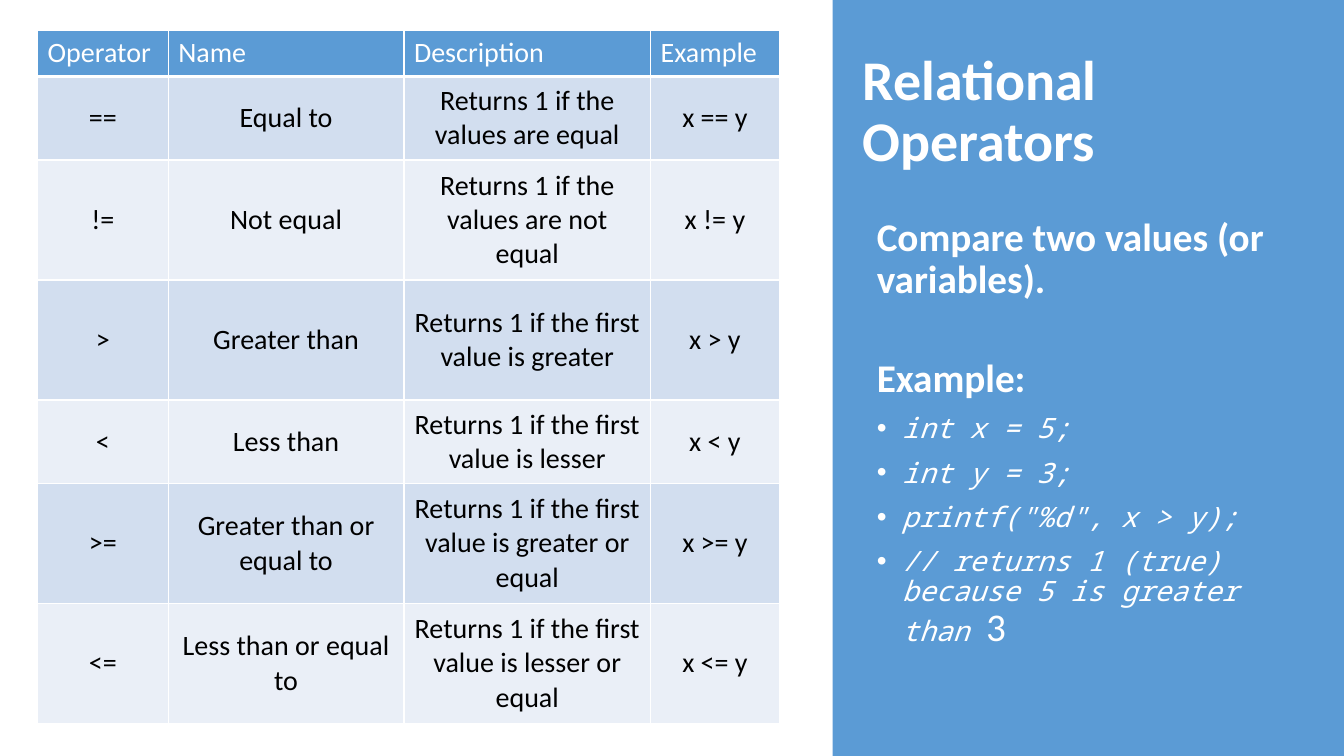
from lxml import etree
from pptx import Presentation
from pptx.dml.color import RGBColor
from pptx.enum import shapes, text
from pptx.oxml import ns
from pptx.util import Pt

BLUE = RGBColor(0x5B, 0x9B, 0xD5)
BAND_DARK = RGBColor(0xD2, 0xDE, 0xEF)
BAND_LIGHT = RGBColor(0xEA, 0xEF, 0xF7)
WHITE = RGBColor(0xFF, 0xFF, 0xFF)
BLACK = RGBColor(0x00, 0x00, 0x00)
SANS = "Calibri"
MONO = "Noto Sans Mono"

HEADINGS = ("Operator", "Name", "Description", "Example")
OPERATORS = (
    ("==", "Equal to", "Returns 1 if the values are equal"),
    ("!=", "Not equal", "Returns 1 if the values are not equal"),
    (">", "Greater than", "Returns 1 if the first value is greater"),
    ("<", "Less than", "Returns 1 if the first value is lesser"),
    (">=", "Greater than or equal to", "Returns 1 if the first value is greater or equal"),
    ("<=", "Less than or equal to", "Returns 1 if the first value is lesser or equal"),
)
COLUMN_WIDTHS = (93.4, 168.4, 176.2, 92)
ROW_HEIGHTS = (33.1, 59.6, 85.7, 85.7, 59.6, 85.7, 85.7)
CODE = ("int x = 5;", "int y = 3;", 'printf("%d", x > y);')
CODE_COMMENT = "// returns 1 (true) because 5 is greater than "


def style(run, size, color, font=SANS, bold=False, italic=False):
    run.font.size = Pt(size)
    run.font.name = font
    run.font.bold = bold
    run.font.italic = italic
    run.font.color.rgb = color


def add_border(cell, side, width):
    properties = cell._tc.get_or_add_tcPr()
    line = etree.SubElement(properties, ns.qn(f"a:ln{side}"), w=str(Pt(width)))
    fill = etree.SubElement(line, ns.qn("a:solidFill"))
    etree.SubElement(fill, ns.qn("a:srgbClr"), val=str(WHITE))


def fill_cell(cell, words, row):
    header = row == 0
    thick_sides = {0: "B", 1: "T"}
    for side in "LRTB":
        add_border(cell, side, 3 if thick_sides.get(row) == side else 1)
    cell.fill.solid()
    cell.fill.fore_color.rgb = BLUE if header else (BAND_DARK if row % 2 else BAND_LIGHT)
    cell.vertical_anchor = text.MSO_ANCHOR.MIDDLE
    cell.text_frame.text = words
    paragraph = cell.text_frame.paragraphs[0]
    paragraph.alignment = text.PP_ALIGN.LEFT if header else text.PP_ALIGN.CENTER
    style(paragraph.runs[0], 20, WHITE if header else BLACK)


def add_operator_table(slide):
    rows = [HEADINGS] + [(*entry, f"x {entry[0]} y") for entry in OPERATORS]
    table = slide.shapes.add_table(
        len(rows), len(HEADINGS), Pt(26.8), Pt(21.6),
        Pt(sum(COLUMN_WIDTHS)), Pt(sum(ROW_HEIGHTS))).table
    table.horz_banding = False
    for column, width in zip(table.columns, COLUMN_WIDTHS):
        column.width = Pt(width)
    for index, (entry, height) in enumerate(zip(rows, ROW_HEIGHTS)):
        table.rows[index].height = Pt(height)
        for cell, words in zip(table.rows[index].cells, entry):
            fill_cell(cell, words, index)


def add_panel(slide):
    panel = slide.shapes.add_shape(
        shapes.MSO_SHAPE.RECTANGLE, Pt(594.8), 0, Pt(365.2), Pt(540))
    panel.shadow.inherit = False
    panel.fill.solid()
    panel.fill.fore_color.rgb = BLUE
    panel.line.fill.background()


def add_text(slide, left, top, width, height):
    frame = slide.shapes.add_textbox(Pt(left), Pt(top), Pt(width), Pt(height)).text_frame
    frame.word_wrap = True
    return frame


def write_heading(paragraph, words, size, space=0):
    paragraph.text = words
    paragraph.line_spacing = 0.9
    paragraph.space_before = Pt(space)
    style(paragraph.runs[0], size, WHITE, bold=True)


def add_code_line(frame, words):
    paragraph = frame.add_paragraph()
    paragraph.text = words
    paragraph.line_spacing = 0.9
    paragraph.space_before = Pt(10)
    properties = paragraph._p.get_or_add_pPr()
    properties.set("marL", str(Pt(18)))
    properties.set("indent", str(Pt(-18)))
    etree.SubElement(properties, ns.qn("a:buFont"), typeface="Arial")
    etree.SubElement(properties, ns.qn("a:buChar"), char="•")
    style(paragraph.runs[0], 20, WHITE, MONO, italic=True)
    return paragraph


def add_title(slide):
    title = add_text(slide, 609.1, 60.5, 323.3, 110.9)
    title.vertical_anchor = text.MSO_ANCHOR.BOTTOM
    title.margin_bottom = Pt(47.5)
    write_heading(title.paragraphs[0], "Relational Operators", 40)


def add_explanation(slide):
    body = add_text(slide, 619.2, 151.9, 302.4, 323.3)
    write_heading(body.paragraphs[0], "Compare two values (or variables).", 28)
    write_heading(body.add_paragraph(), "Example:", 28, 40)
    for statement in CODE:
        add_code_line(body, statement)
    result = add_code_line(body, CODE_COMMENT).add_run()
    result.text = "3"
    style(result, 28, WHITE)


def main():
    deck = Presentation()
    deck.slide_width = Pt(960)
    deck.slide_height = Pt(540)
    slide = deck.slides.add_slide(deck.slide_layouts[6])
    add_panel(slide)
    add_title(slide)
    add_explanation(slide)
    add_operator_table(slide)
    deck.save("out.pptx")


if __name__ == "__main__":
    main()
